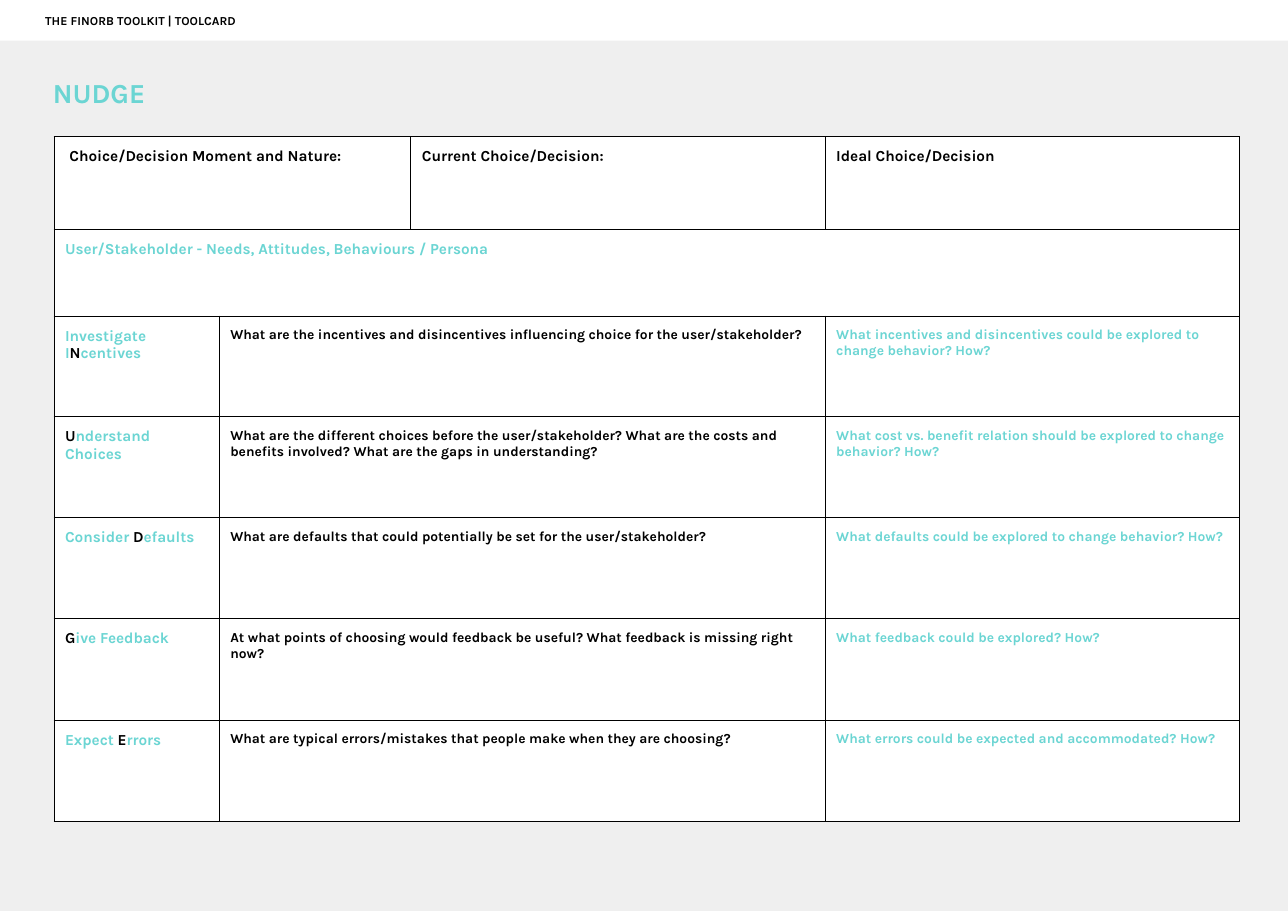
from lxml import etree
from pptx import Presentation
from pptx import util as u
from pptx.dml.color import RGBColor
from pptx.enum import shapes, text
from pptx.oxml import ns

THEME = {
    "font": "Karla",
    "teal": "6BD5D3", "black": "000000", "white": "FFFFFF", "grey": "EFEFEF",
    "title": 18, "label": 10, "question": 9, "header": 8, "border": 0.75,
}
SLIDE = (11.69, 8.27)
HEADER_HEIGHT = 0.37
INSET = 0.1
TABLE_AT = (0.49, 1.24)
COLUMNS = (1.5, 1.74, 3.76, 3.76)
ROWS = (0.84, 0.79, 0.91, 0.92, 0.92, 0.92, 0.92)

HEADER = "THE FINORB TOOLKIT | TOOLCARD"
TITLE = "NUDGE"
DECISIONS = (
    (0, 1, "Choice/Decision Moment and Nature:", 0.14),
    (2, 2, "Current Choice/Decision:", INSET),
    (3, 3, "Ideal Choice/Decision", INSET),
)
PERSONA = "User/Stakeholder - Needs, Attitudes, Behaviours / Persona"
STEPS = (
    (("Investigate I", "N", "centives"),
     "What are the incentives and disincentives influencing choice for the user/stakeholder?",
     "What incentives and disincentives could be explored to change behavior? How?"),
    (("", "U", "nderstand Choices"),
     "What are the different choices before the user/stakeholder? What are the costs and "
     "benefits involved? What are the gaps in understanding?",
     "What cost vs. benefit relation should be explored to change behavior? How?"),
    (("Consider ", "D", "efaults"),
     "What are defaults that could potentially be set for the user/stakeholder?",
     "What defaults could be explored to change behavior? How?"),
    (("", "G", "ive Feedback"),
     "At what points of choosing would feedback be useful? What feedback is missing right now?",
     "What feedback could be explored? How?"),
    (("Expect ", "E", "rrors"),
     "What are typical errors/mistakes that people make when they are choosing?",
     "What errors could be expected and accommodated? How?"),
)


def color(name):
    return RGBColor.from_string(THEME[name])


def add_runs(tf, size, *runs):
    p = tf.paragraphs[0]
    p.alignment = text.PP_ALIGN.LEFT
    for words, tint in runs:
        if words:
            r = p.add_run()
            r.text = words
            r.font.name = THEME["font"]
            r.font.size = u.Pt(THEME[size])
            r.font.bold = True
            r.font.color.rgb = color(tint)


def set_margins(box, left=INSET):
    box.margin_left = u.Inches(left)
    box.margin_top = box.margin_right = box.margin_bottom = u.Inches(INSET)


def add_panel(s, width, height, fill):
    sp = s.shapes.add_shape(shapes.MSO_SHAPE.RECTANGLE, 0, 0, u.Inches(width), u.Inches(height))
    sp.shadow.inherit = False
    sp.fill.solid()
    sp.fill.fore_color.rgb = color(fill)
    sp.line.fill.background()
    return sp


def style_cell(cell):
    cell.fill.solid()
    cell.fill.fore_color.rgb = color("white")
    tcPr = cell._tc.get_or_add_tcPr()
    for i, side in enumerate(("lnL", "lnR", "lnT", "lnB")):
        ln = etree.Element(ns.qn(f"a:{side}"), w=str(u.Pt(THEME["border"])))
        fill = etree.SubElement(ln, ns.qn("a:solidFill"))
        etree.SubElement(fill, ns.qn("a:srgbClr"), val=THEME["black"])
        tcPr.insert(i, ln)


def fill_cells(table, row, first, last, size, *runs, left=INSET):
    cell = table.cell(row, first)
    if last > first:
        cell.merge(table.cell(row, last))
    set_margins(cell, left)
    add_runs(cell.text_frame, size, *runs)


def add_canvas(s):
    frame = s.shapes.add_table(len(ROWS), len(COLUMNS), *map(u.Inches, TABLE_AT),
                               u.Inches(sum(COLUMNS)), u.Inches(sum(ROWS)))
    table = frame.table
    for column, width in zip(table.columns, COLUMNS):
        column.width = u.Inches(width)
    for row, height in zip(table.rows, ROWS):
        row.height = u.Inches(height)
    for cell in table.iter_cells():
        style_cell(cell)
    for first, last, label, left in DECISIONS:
        fill_cells(table, 0, first, last, "label", (label, "black"), left=left)
    fill_cells(table, 1, 0, 3, "label", (PERSONA, "teal"))
    for row, ((before, initial, after), now, change) in enumerate(STEPS, 2):
        fill_cells(table, row, 0, 0, "label",
                   (before, "teal"), (initial, "black"), (after, "teal"))
        fill_cells(table, row, 1, 2, "question", (now, "black"))
        fill_cells(table, row, 3, 3, "question", (change, "teal"))


def main():
    prs = Presentation()
    prs.slide_width, prs.slide_height = map(u.Inches, SLIDE)
    s = prs.slides.add_slide(prs.slide_layouts[6])
    add_panel(s, *SLIDE, "grey")

    title = s.shapes.add_textbox(0, u.Inches(0.59), u.Inches(6.64), u.Inches(0.75))
    tf = title.text_frame
    tf.word_wrap = True
    set_margins(tf, 0.48)
    add_runs(tf, "title", (TITLE, "teal"))

    add_canvas(s)

    tf = add_panel(s, SLIDE[0], HEADER_HEIGHT, "white").text_frame
    tf.word_wrap = True
    tf.vertical_anchor = text.MSO_ANCHOR.MIDDLE
    set_margins(tf, 0.41)
    add_runs(tf, "header", (HEADER, "black"))
    prs.save("out.pptx")


if __name__ == "__main__":
    main()
